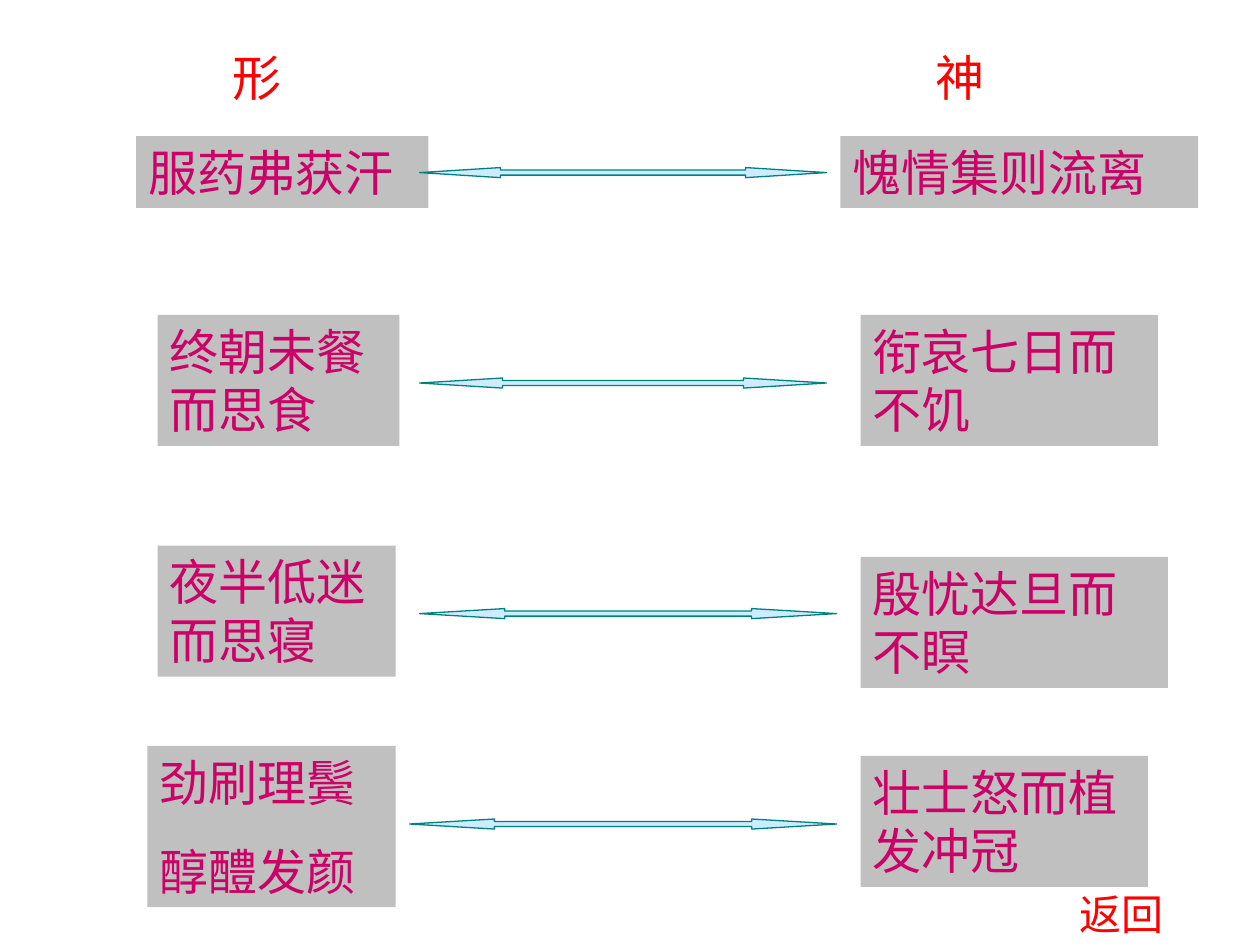
"""Build the slide that pairs bodily form with spirit in four rows."""
from pptx import Presentation
from pptx.dml.color import RGBColor
from pptx.enum.shapes import MSO_SHAPE
from pptx.enum.text import MSO_AUTO_SIZE
from pptx.util import Inches, Pt

ARROW = MSO_SHAPE.LEFT_RIGHT_ARROW
FIT = MSO_AUTO_SIZE.SHAPE_TO_FIT_TEXT
GREY = RGBColor(0xC0, 0xC0, 0xC0)
PINK = RGBColor(0xCC, 0x00, 0x66)
RED = RGBColor(0xFF, 0x00, 0x00)
PALE = RGBColor(0xCC, 0xEC, 0xFF)
TEAL = RGBColor(0x00, 0x80, 0x80)

LABELS = [
    ("形", 28, (1.75, 0.33, 0.83, 0.57)),
    ("神", 28, (7.33, 0.33, 0.87, 0.57)),
    ("返回", 24, (8.47, 7, 1.1, 0.5)),
]
PAIRS = [
    (["服药弗获汗"], (1.08, 1.08, 2.32, 0.57),
     ["愧情集则流离"], (6.67, 1.08, 2.84, 0.57),
     (3.33, 1.33, 3.23), 8.04),
    (["终朝未餐而思食"], (1.25, 2.5, 1.92, 1.04),
     ["衔哀七日而不饥"], (6.83, 2.5, 2.36, 1.04),
     (3.33, 3, 3.23), 8.24),
    (["夜半低迷而思寝"], (1.25, 4.33, 1.89, 1.04),
     ["殷忧达旦而不瞑"], (6.83, 4.42, 2.44, 1.04),
     (3.33, 4.83, 3.31), 8.45),
    (["劲刷理鬓", "醇醴发颜"], (1.17, 5.92, 1.97, 1.28),
     ["壮士怒而植发冲冠"], (6.83, 6, 2.28, 1.04),
     (3.25, 6.5, 3.39), 8.43),
]

deck = Presentation()
deck.slide_width, deck.slide_height = Inches(10), Inches(7.5)
slide = deck.slides.add_slide(deck.slide_layouts[6])


def add_text(lines, place, size, color):
    box = slide.shapes.add_textbox(*map(Inches, place))
    frame = box.text_frame
    frame.word_wrap = True
    frame.auto_size = FIT
    for row, line in enumerate(lines):
        para = frame.add_paragraph() if row else frame.paragraphs[0]
        if row:
            para.space_before = Pt(17.5)
        run = para.add_run()
        run.text = line
        run.font.name = "Arial"
        run.font.size = Pt(size)
        run.font.color.rgb = color
    return box


for form, left, mind, right, span, head in PAIRS:
    for lines, place in ((form, left), (mind, right)):
        box = add_text(lines, place, 28, PINK)
        box.fill.solid()
        box.fill.fore_color.rgb = GREY
    arrow = slide.shapes.add_shape(ARROW, *map(Inches, (*span, 0.08)))
    arrow.shadow.inherit = False
    arrow.adjustments[0] = 0.5
    arrow.adjustments[1] = head
    arrow.fill.solid()
    arrow.fill.fore_color.rgb = PALE
    arrow.line.color.rgb = TEAL
    arrow.line.width = Pt(0.75)

for label, size, place in LABELS:
    add_text([label], place, size, RED)

deck.save("out.pptx")
